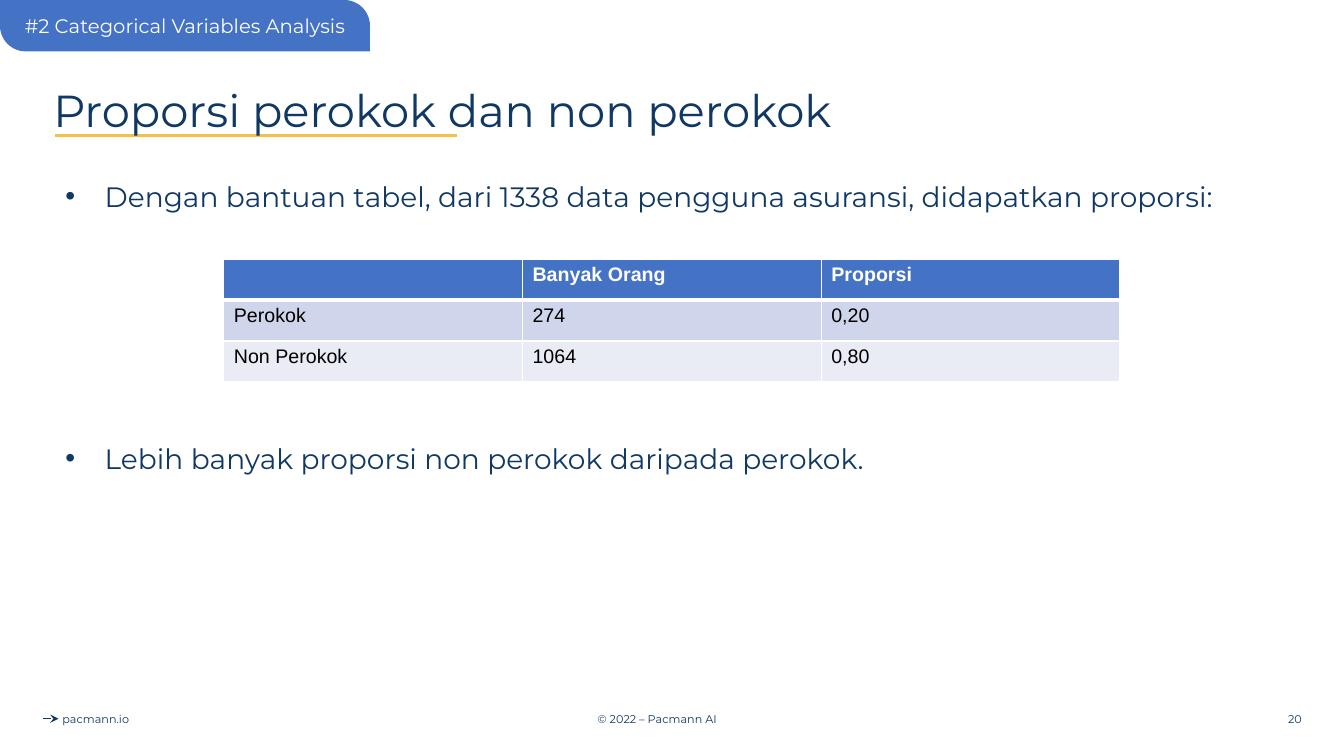
from dataclasses import dataclass

import pptx
import pptx.dml.color
import pptx.enum.shapes
import pptx.enum.text
import pptx.oxml
import pptx.oxml.ns
import pptx.util
from pptx.enum.shapes import MSO_CONNECTOR, MSO_SHAPE
from pptx.enum.text import MSO_ANCHOR, PP_ALIGN

WIDTH, HEIGHT = pptx.util.Inches(13.33), pptx.util.Inches(7.5)
COLORS = {
    "navy": "103864", "blue": "4472C4", "yellow": "F3C145", "white": "FFFFFF",
    "black": "000000", "dark_band": "CFD5EA", "light_band": "E9EBF5",
}
FORMATS = {
    "title": {"name": "Montserrat", "size": pptx.util.Pt(32)},
    "body": {"name": "Montserrat", "size": pptx.util.Pt(20)},
    "tab": {"name": "Montserrat", "size": pptx.util.Pt(14)},
    "footer": {"name": "Montserrat", "size": pptx.util.Pt(8)},
    "header": {"name": "Arial", "size": pptx.util.Pt(14), "bold": True},
    "cell": {"name": "Arial", "size": pptx.util.Pt(14), "bold": False},
}


@dataclass
class Box:
    """A rectangle in percent of the slide's width and height."""
    left: float
    top: float
    width: float
    height: float

    def lengths(self) -> tuple[int, int, int, int]:
        return (across(self.left), down(self.top),
                across(self.width), down(self.height))


@dataclass
class Label:
    text: str
    box: Box
    style: str
    align: PP_ALIGN = PP_ALIGN.LEFT
    anchor: MSO_ANCHOR = MSO_ANCHOR.MIDDLE
    line_spacing: float = 1.0
    bullet: bool = False


@dataclass
class Rule:
    """A horizontal line in percent of the slide's width and height."""
    start: float
    end: float
    level: float
    color: str
    weight: float
    arrow: bool = False


BODY = {"style": "body", "anchor": MSO_ANCHOR.TOP, "bullet": True}
LABELS = [
    Label("© 2022 – Pacmann AI", Box(32.03, 92.4, 33.76, 5.33), "footer", PP_ALIGN.CENTER),
    Label("pacmann.io", Box(1.5, 92.4, 11.25, 5.33), "footer", PP_ALIGN.CENTER),
    Label("20", Box(75.09, 92.4, 22.51, 5.33), "footer", PP_ALIGN.RIGHT),
    Label("Proporsi perokok dan non perokok", Box(3.23, 5.33, 93.55, 19.33), "title",
          line_spacing=0.9),
    Label("Dengan bantuan tabel, dari 1338 data pengguna asuransi, didapatkan proporsi:",
          Box(3.3, 23.07, 93.47, 5.87), **BODY),
    Label("Lebih banyak proporsi non perokok daripada perokok.",
          Box(3.3, 57.73, 93.47, 5.87), **BODY),
]
RULES = [
    Rule(3.23, 4.35, 95.07, "navy", 0.75, arrow=True),
    Rule(4.13, 33.98, 17.87, "yellow", 2.25),
]
TAB = Label("#2 Categorical Variables Analysis", Box(0, 0, 27.53, 6.8), "tab", PP_ALIGN.CENTER)
TABLE_BOX = Box(16.65, 34.27, 66.69, 16.27)
TABLE_ROWS = [
    ("", "Banyak Orang", "Proporsi"),
    ("Perokok", "274", "0,20"),
    ("Non Perokok", "1064", "0,80"),
]
ROW_FILLS = ["blue", "dark_band", "light_band"]


def across(percent: float) -> int:
    return round(WIDTH * percent / 100)


def down(percent: float) -> int:
    return round(HEIGHT * percent / 100)


def rgb(color: str) -> pptx.dml.color.RGBColor:
    return pptx.dml.color.RGBColor.from_string(COLORS[color])


def add_element(parent, xml: str) -> None:
    tag, rest = xml.split(" ", 1)
    namespace = pptx.oxml.ns.nsdecls("a")
    parent.append(pptx.oxml.parse_xml(f"<{tag} {namespace} {rest}"))


def write(paragraph, text: str, style: str, color: str) -> None:
    run = paragraph.add_run()
    run.text = text
    for attribute, value in FORMATS[style].items():
        setattr(run.font, attribute, value)
    run.font.color.rgb = rgb(color)


def fill_frame(frame, label: Label, color: str) -> None:
    frame.word_wrap = True
    frame.vertical_anchor = label.anchor
    paragraph = frame.paragraphs[0]
    paragraph.alignment = label.align
    paragraph.line_spacing = label.line_spacing
    if label.bullet:
        properties = paragraph._p.get_or_add_pPr()
        properties.set("marL", str(pptx.util.Inches(0.5)))
        properties.set("indent", str(pptx.util.Inches(-0.39)))
        add_element(properties, f'a:buClr ><a:srgbClr val="{COLORS[color]}"/></a:buClr>')
        add_element(properties, 'a:buFont typeface="Arial"/>')
        add_element(properties, 'a:buChar char="•"/>')
    write(paragraph, label.text, label.style, color)


def add_label(slide, label: Label) -> None:
    fill_frame(slide.shapes.add_textbox(*label.box.lengths()).text_frame, label, "navy")


def add_rule(slide, rule: Rule) -> None:
    level = down(rule.level)
    connector = slide.shapes.add_connector(
        MSO_CONNECTOR.STRAIGHT, across(rule.start), level, across(rule.end), level)
    connector.line.color.rgb = rgb(rule.color)
    connector.line.width = pptx.util.Pt(rule.weight)
    if rule.arrow:
        add_element(connector.line._get_or_add_ln(), 'a:tailEnd type="stealth"/>')
    add_element(connector._element.spPr, "a:effectLst />")


def add_tab(slide, label: Label) -> None:
    shape = slide.shapes.add_shape(MSO_SHAPE.ROUND_2_DIAG_RECTANGLE, *label.box.lengths())
    shape.adjustments[0], shape.adjustments[1] = 0, 0.5
    shape.shadow.inherit = False
    shape.fill.solid()
    shape.fill.fore_color.rgb = rgb("blue")
    shape.line.fill.background()
    fill_frame(shape.text_frame, label, "white")


def add_borders(cell, row: int) -> None:
    # The line under the header row is thicker
    weights = {"L": 1, "R": 1, "T": 3 if row == 1 else 1, "B": 3 if row == 0 else 1}
    for side, weight in weights.items():
        add_element(
            cell._tc.get_or_add_tcPr(),
            f'a:ln{side} w="{pptx.util.Pt(weight)}"><a:solidFill>'
            f'<a:srgbClr val="{COLORS["white"]}"/></a:solidFill></a:ln{side}>')


def add_proportions(slide) -> None:
    table = slide.shapes.add_table(
        len(TABLE_ROWS), len(TABLE_ROWS[0]), *TABLE_BOX.lengths()).table
    for row, values in enumerate(TABLE_ROWS):
        style, color = ("header", "white") if row == 0 else ("cell", "black")
        for column, value in enumerate(values):
            cell = table.cell(row, column)
            add_borders(cell, row)
            cell.fill.solid()
            cell.fill.fore_color.rgb = rgb(ROW_FILLS[row])
            if value:
                write(cell.text_frame.paragraphs[0], value, style, color)


def main() -> None:
    presentation = pptx.Presentation()
    presentation.slide_width, presentation.slide_height = WIDTH, HEIGHT
    slide = presentation.slides.add_slide(presentation.slide_layouts[6])

    # Footer arrow and title underline
    for rule in RULES:
        add_rule(slide, rule)
    # Footer, title and bullets
    for label in LABELS:
        add_label(slide, label)
    # Table and section tab
    add_proportions(slide)
    add_tab(slide, TAB)

    presentation.save("out.pptx")


if __name__ == "__main__":
    main()
